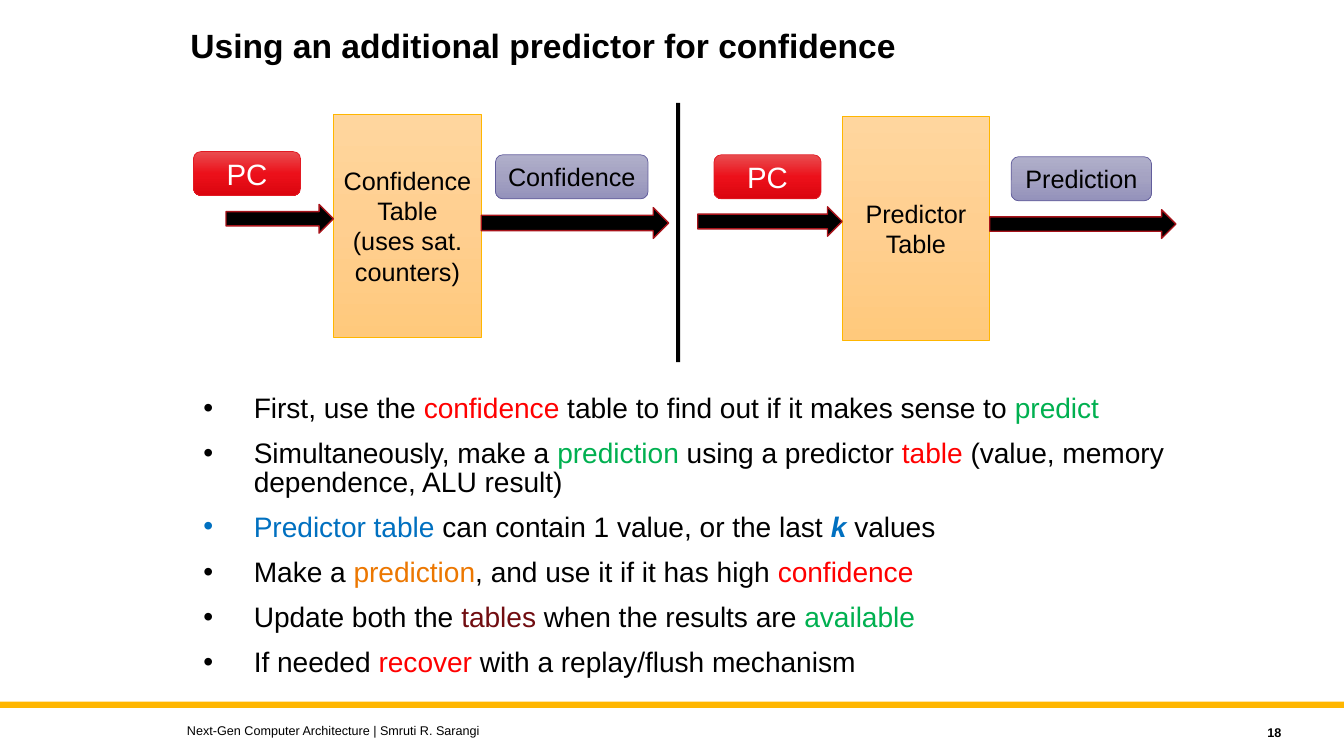
from copy import deepcopy

from lxml import etree
from pptx import Presentation
from pptx.dml.color import RGBColor
from pptx.enum.shapes import MSO_SHAPE
from pptx.enum.text import MSO_ANCHOR, PP_ALIGN
from pptx.oxml.ns import qn
from pptx.util import Pt

RECT = MSO_SHAPE.RECTANGLE
PILL = MSO_SHAPE.ROUNDED_RECTANGLE
ARROW = MSO_SHAPE.RIGHT_ARROW
TOP, MIDDLE = MSO_ANCHOR.TOP, MSO_ANCHOR.MIDDLE
LEFT, CENTER, RIGHT = PP_ALIGN.LEFT, PP_ALIGN.CENTER, PP_ALIGN.RIGHT

FONT = "Arial"
BLACK, WHITE, GOLD = "000000", "FFFFFF", "FFB600"
RED, GREEN, BLUE = "FF0000", "00B050", "0070C0"
ORANGE, MAROON = "EC7700", "710D11"

# Gradient stops and outline colour of each block style
TABLE_STYLE = (("FFD69E", "FFCF90", "FFC97C"), GOLD)
INPUT_STYLE = (("E94D50", "EC101A", "DB050F"), "E21A23")
OUTPUT_STYLE = (("B0AFCA", "A4A2C2", "9492BB"), "625D9C")

BULLETS = [
    [("First, use the ", BLACK), ("confidence", RED),
     (" table to find out if it makes sense to ", BLACK), ("predict", GREEN)],
    [("Simultaneously, make a ", BLACK), ("prediction", GREEN),
     (" using a predictor ", BLACK), ("table", RED),
     (" (value, memory dependence, ALU result)", BLACK)],
    [("Predictor table ", BLUE), ("can contain 1 value, or the last ", BLACK),
     ("k ", BLUE, True), ("values", BLACK)],
    [("Make a ", BLACK), ("prediction", ORANGE),
     (", and use it if it has high ", BLACK), ("confidence", RED)],
    [("Update both the ", BLACK), ("tables", MAROON),
     (" when the results are ", BLACK), ("available", GREEN)],
    [("If needed ", BLACK), ("recover", RED),
     (" with a replay/flush mechanism", BLACK)],
]


def color(hex_value):
    return RGBColor.from_string(hex_value)


def set_font(font, size, hex_value=None, bold=False):
    font.name, font.size, font.bold = FONT, Pt(size), bold
    if hex_value:
        font.color.rgb = color(hex_value)


def write_lines(frame, lines, size, hex_value, align, bold=False):
    frame.word_wrap = True
    for index, line in enumerate(lines):
        para = frame.paragraphs[0] if index == 0 else frame.add_paragraph()
        para.text, para.alignment = line, align
        set_font(para.font, size, hex_value, bold)


def add_text(page, area, text, size, anchor=MIDDLE, align=LEFT, bold=False):
    frame = page.shapes.add_textbox(*map(Pt, area)).text_frame
    frame.vertical_anchor = anchor
    write_lines(frame, [text], size, BLACK, align, bold)
    return frame


def add_solid(page, kind, area, fill, line=None):
    shape = page.shapes.add_shape(kind, *map(Pt, area))
    shape.shadow.inherit = False
    shape.fill.solid()
    shape.fill.fore_color.rgb = color(fill)
    if line:
        shape.line.color.rgb = color(line)
        shape.line.width = Pt(1)
    else:
        shape.line.fill.background()


def add_block(page, kind, area, style, lines, size, text_color=BLACK):
    stops, line = style
    shape = page.shapes.add_shape(kind, *map(Pt, area))
    shape.shadow.inherit = False
    shape.line.color.rgb = color(line)
    shape.line.width = Pt(0.5)

    # Three-stop gradient from top to bottom
    shape.fill.gradient()
    shape.fill.gradient_angle = 270
    stop_list = shape.element.spPr.find(".//" + qn("a:gsLst"))
    stop_list.insert(1, deepcopy(stop_list[0]))
    for index, stop in enumerate(shape.fill.gradient_stops):
        stop.position = index / 2
        stop.color.rgb = color(stops[index])

    shape.text_frame.vertical_anchor = MIDDLE
    write_lines(shape.text_frame, lines, size, text_color, CENTER)


def add_bullets(page, area, items, size):
    frame = page.shapes.add_textbox(*map(Pt, area)).text_frame
    frame.word_wrap = True
    frame.vertical_anchor = TOP
    for index, spans in enumerate(items):
        para = frame.paragraphs[0] if index == 0 else frame.add_paragraph()
        para.line_spacing = 0.84
        if index:
            para.space_before = Pt(12)
        props = para._p.get_or_add_pPr()
        props.set("marL", str(Pt(36)))
        props.set("indent", str(-Pt(36)))
        bullet_color = etree.SubElement(props, qn("a:buClr"))
        etree.SubElement(bullet_color, qn("a:srgbClr"), val=spans[0][1])
        etree.SubElement(props, qn("a:buFont"), typeface=FONT)
        etree.SubElement(props, qn("a:buChar"), char="•")
        for text, hex_value, *strong in spans:
            span = para.add_run()
            span.text = text
            set_font(span.font, size, hex_value, bool(strong))
            span.font.italic = bool(strong)


def add_lookup(page, table, arrows, source, result, table_lines, result_text):
    """One PC -> table -> result chain."""
    add_block(page, RECT, table, TABLE_STYLE, table_lines, 18)
    for area in arrows:
        add_solid(page, ARROW, area, BLACK, "A7131A")
    add_block(page, PILL, source, INPUT_STYLE, ["PC"], 21, WHITE)
    add_block(page, PILL, result, OUTPUT_STYLE, [result_text], 18)


def main():
    deck = Presentation()
    deck.slide_width, deck.slide_height = Pt(960), Pt(540)
    page = deck.slides.add_slide(deck.slide_layouts[6])

    # Title
    add_solid(page, RECT, (0, 501.2, 960, 4.4), GOLD)
    title = add_text(page, (128.9, 17.3, 620.6, 78.5),
                     "Using an additional predictor for confidence",
                     24, anchor=TOP, bold=True)
    title.paragraphs[0].line_spacing = 0.9

    # Explanation
    add_bullets(page, (138.2, 279.4, 702, 230.4), BULLETS, 20.1)

    # Confidence lookup, divider, prediction lookup
    add_lookup(page, (238.2, 81.5, 105.8, 159.5),
               [(161.5, 146, 76.7, 20.5), (343.8, 148.3, 133.8, 22)],
               (138.2, 108.3, 76.5, 31.4), (353.9, 110.6, 109, 31.4),
               ["Confidence", "Table", "(uses sat. counters)"], "Confidence")
    add_solid(page, RECT, (483, 73.5, 2.9, 185.2), BLACK)
    add_lookup(page, (601.5, 83.4, 105.5, 159.8),
               [(498.4, 147.7, 103.2, 21), (707, 149.8, 133, 20.5)],
               (510, 110.6, 76.5, 31.4), (722.3, 112, 100.3, 31.4),
               ["Predictor", "Table"], "Prediction")

    # Footer
    add_text(page, (821.5, 514.1, 100.8, 18), "18", 9, align=RIGHT, bold=True)
    add_text(page, (126.5, 512.6, 576, 18),
             "Next-Gen Computer Architecture | Smruti R. Sarangi", 9)

    deck.save("out.pptx")


if __name__ == "__main__":
    main()
